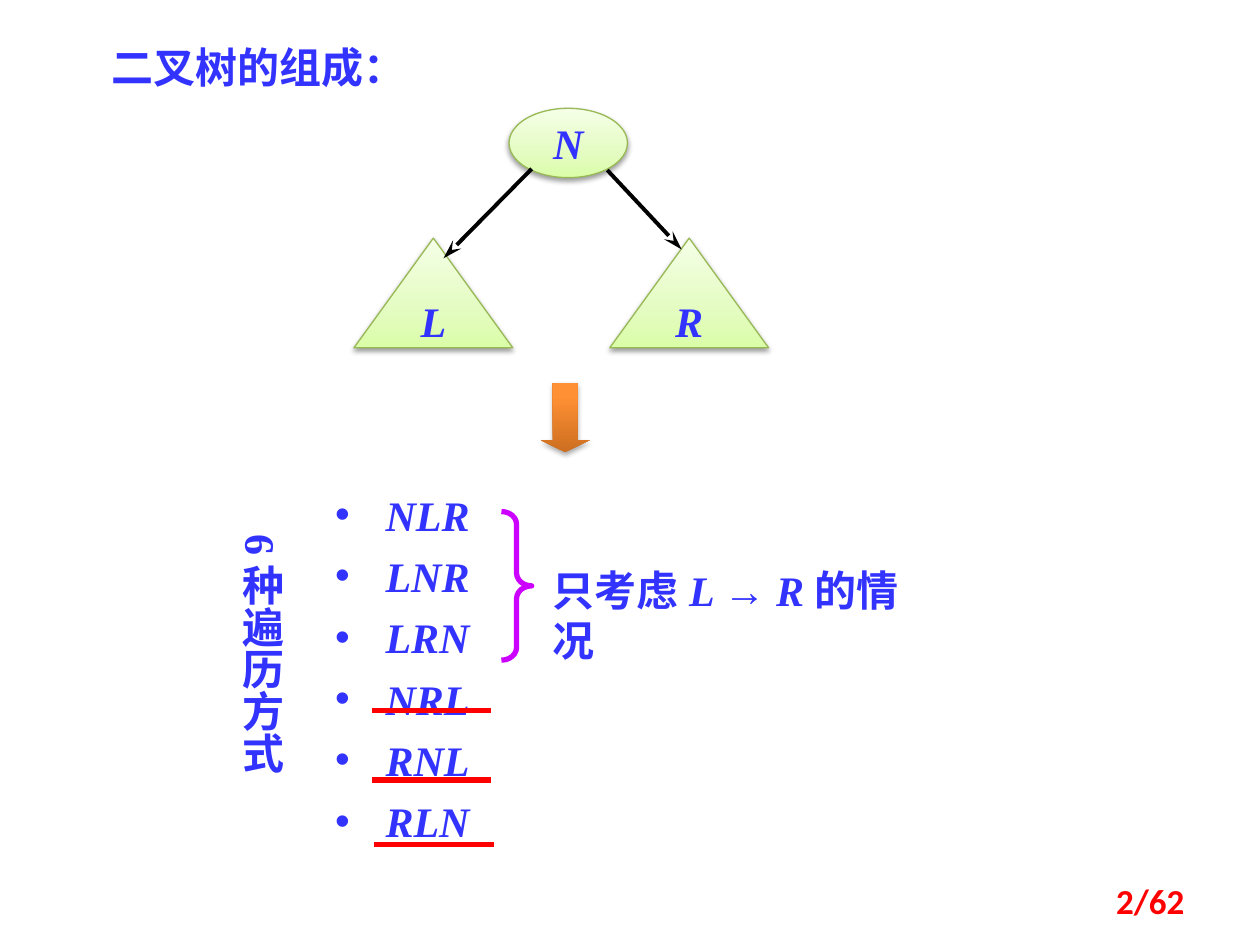
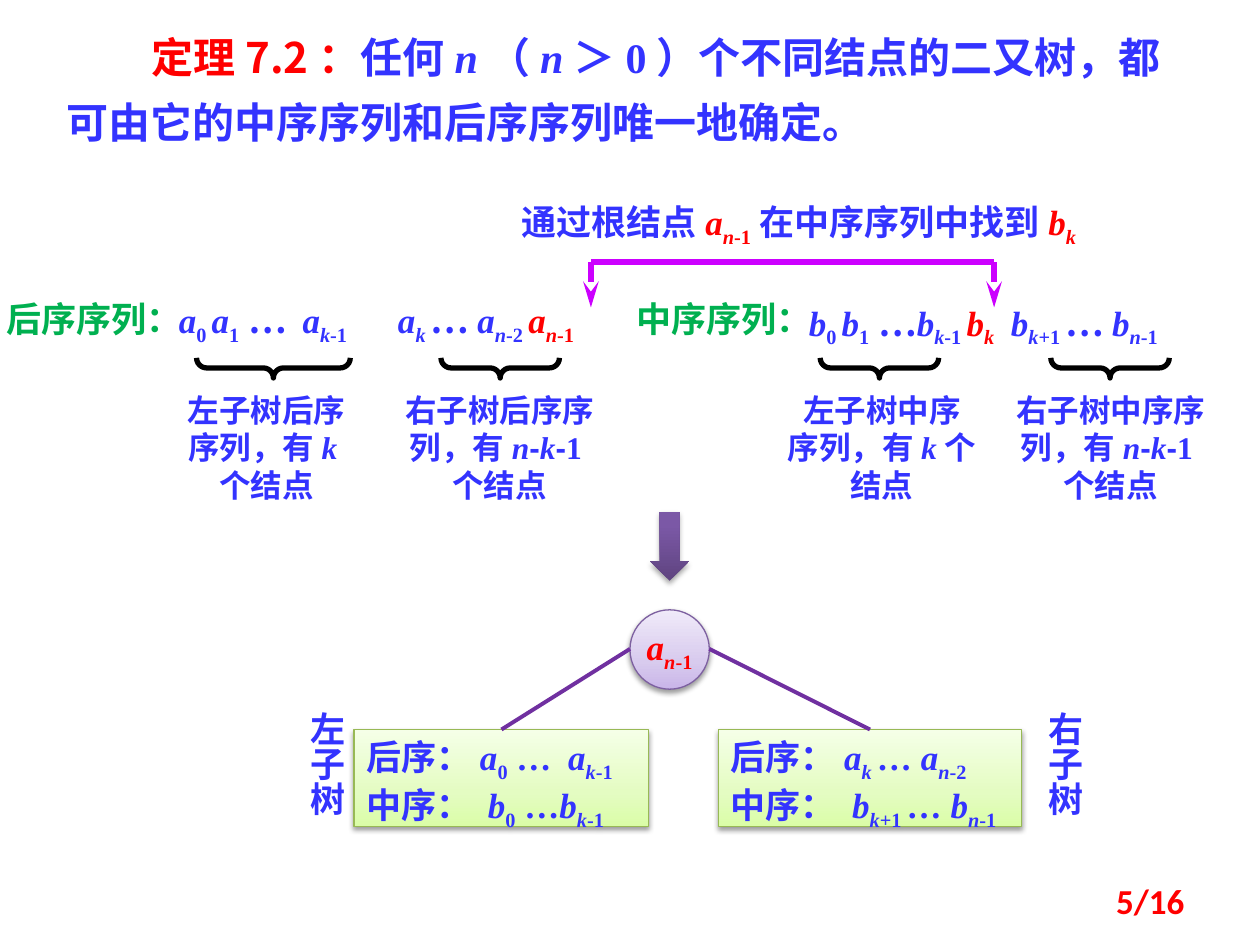
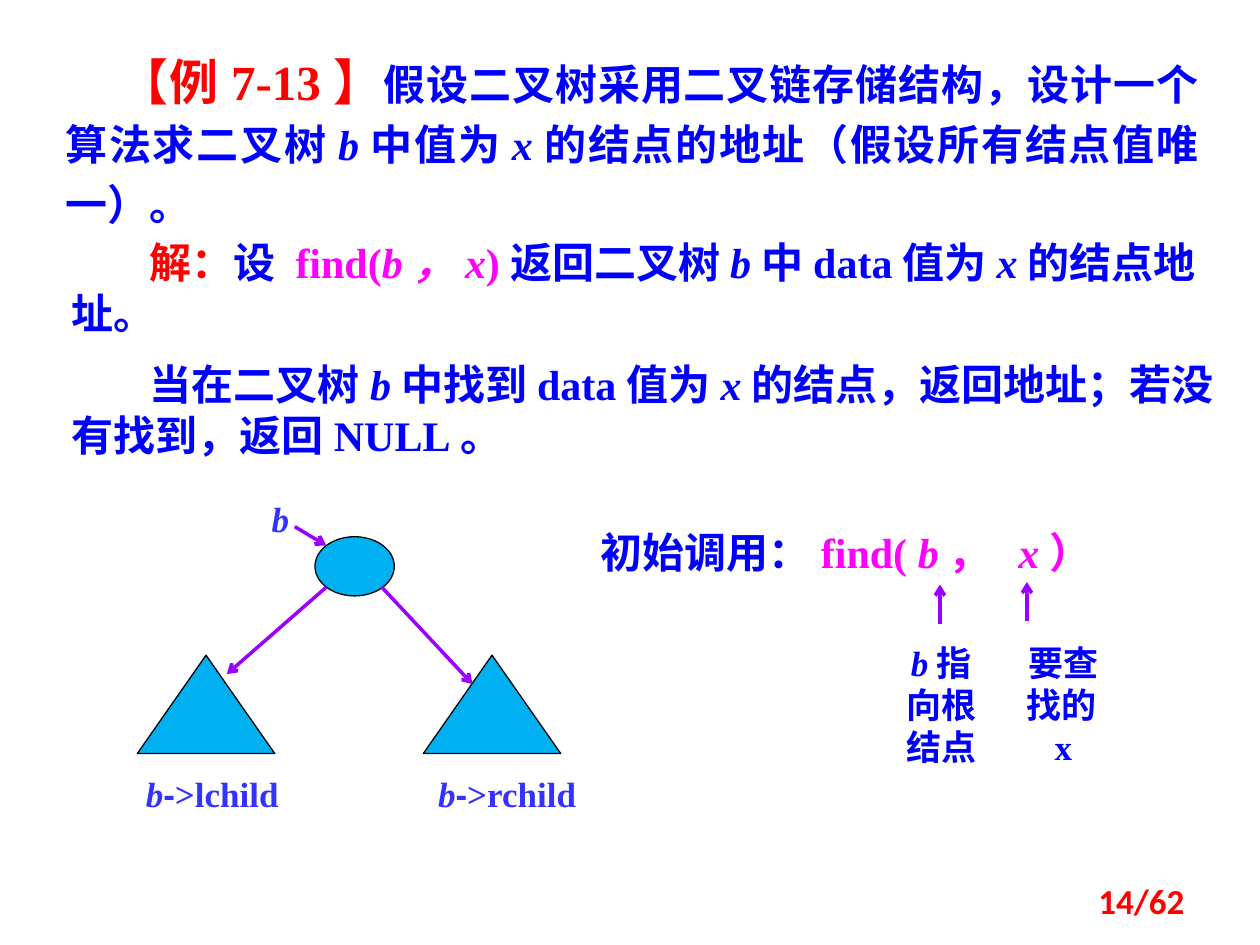
from dataclasses import dataclass
from itertools import groupby

from lxml.etree import SubElement
from pptx import Presentation
from pptx.dml.color import RGBColor
from pptx.enum.shapes import MSO_CONNECTOR, MSO_SHAPE as SHAPE
from pptx.enum.text import MSO_ANCHOR as ANCHOR, MSO_AUTO_SIZE, PP_ALIGN as ALIGN
from pptx.oxml.ns import qn
from pptx.util import Inches, Pt


@dataclass(frozen=True)
class Theme:
    blue: str = "3333FF"
    pure_blue: str = "0000FF"
    red: str = "FF0000"
    pink: str = "FF00FF"
    green: str = "00B050"
    black: str = "000000"
    magenta: str = "CC00FF"
    violet: str = "9900FF"
    purple: str = "7030A0"
    sky: str = "00B0F0"
    leaf: tuple = ((0, "DAFDA7"), (35, "E4FCC2"), (100, "F5FFE7"))
    leaf_edge: str = "98B955"
    lilac: tuple = ((0, "C9B5E8"), (35, "D8CBEE"), (100, "F0EAF9"))
    lilac_edge: str = "7D60A0"
    orange: tuple = ((0, "CC6E20"), (80, "FF9034"), (100, "FF9136"))
    plum: tuple = ((0, "5F4480"), (80, "7B58A6"), (100, "7C57A8"))
    serif: str = "Times New Roman"
    sans: str = "Calibri"
    cjk: str = "Noto Sans CJK SC"
    dash: str = "Arial"
    big: int = 28
    head: int = 24
    label: int = 20
    small: int = 18


T = Theme()
COLS, ROWS = 100, 75
CELL = Inches(0.1)
PAD = (0.1, 0.05)
# Each mark switches one format on or off inside a text.
MARKS = {"*": "italic", "_": "sub", "^": "red", "~": "pink", "`": "cjk",
         "¦": "dash", "@": "big", "§": "gap", "¶": "wide gap"}
# Extra letter spacing, in hundredths of a point.
TRACKING = {"gap": "450", "wide gap": "2400"}


def grid(*cells):
    """Turn columns and rows into lengths."""
    return [round(c * CELL) for c in cells]


def rgb(value):
    return RGBColor.from_string(value)


def add_runs(p, markup, size, color, font):
    on = set()
    for is_mark, chars in groupby(markup, lambda ch: ch in MARKS):
        if is_mark:
            for ch in chars:
                on ^= {MARKS[ch]}
            continue
        r = p.add_run()
        r.text = "".join(chars)
        face = T.cjk if "cjk" in on else T.dash if "dash" in on else font
        fmt = {"name": face, "bold": True, "italic": "italic" in on,
               "size": Pt(T.big if "big" in on else size)}
        for name, value in fmt.items():
            setattr(r.font, name, value)
        shade = T.red if "red" in on else T.pink if "pink" in on else color
        r.font.color.rgb = rgb(shade)
        rPr = r.font._element
        rPr.set("lang", "zh-CN")
        if "sub" in on:
            rPr.set("baseline", "-25000")
        for name in on & TRACKING.keys():
            rPr.set("spc", TRACKING[name])
        SubElement(rPr, qn("a:ea")).set("typeface", T.sans)


def set_layout(p, margin, indent, bullet):
    pPr = p._p.get_or_add_pPr()
    pPr.set("marL", str(Inches(margin)))
    pPr.set("indent", str(Inches(indent)))
    if bullet:
        SubElement(pPr, qn("a:buChar")).set("char", bullet)
    else:
        SubElement(pPr, qn("a:buNone"))


def write(sp, *paras, size=T.head, color=T.blue, font=T.serif, align=ALIGN.LEFT,
          anchor=ANCHOR.TOP, pad=PAD, wrap=True, vertical=False, margin=0,
          indent=0, bullet=None, spacing=None, before=0):
    tf = sp.text_frame
    side, top = map(Inches, pad)
    frame = {"auto_size": MSO_AUTO_SIZE.NONE, "word_wrap": wrap,
             "vertical_anchor": anchor, "margin_left": side,
             "margin_right": side, "margin_top": top, "margin_bottom": top}
    for name, value in frame.items():
        setattr(tf, name, value)
    if vertical:
        tf._txBody.bodyPr.set("vert", "eaVert")
    for i, markup in enumerate(paras):
        p = tf.add_paragraph() if i else tf.paragraphs[0]
        set_layout(p, margin, indent, bullet)
        p.alignment = align
        p.space_before = Pt(before if i else 0)
        if spacing:
            p.line_spacing = spacing
        add_runs(p, markup, size, color, font)
    return sp


def text(s, at, *paras, **fmt):
    return write(s.shapes.add_textbox(*grid(*at)), *paras, **fmt)


def placed(sp, at, *paras, **fmt):
    """Move a placeholder and fill it."""
    sp.left, sp.top, sp.width, sp.height = grid(*at)
    return write(sp, *paras, **fmt)


def cast_shadow(sp, alpha):
    effects = sp.element.spPr.find(qn("a:effectLst"))
    shadow = SubElement(effects, qn("a:outerShdw"))
    for name, value in {"blurRad": Pt(3.1), "dist": Pt(1.7), "dir": 90 * 60000,
                        "rotWithShape": 0}.items():
        shadow.set(name, str(value))
    clr = SubElement(shadow, qn("a:srgbClr"))
    clr.set("val", T.black)
    SubElement(clr, qn("a:alpha")).set("val", str(alpha * 1000))


def paint_gradient(sp, stops):
    sp.fill.gradient()
    sp.fill.gradient_angle = 90
    stop_list = sp.element.spPr.find(qn("a:gradFill")).find(qn("a:gsLst"))
    stop_list.clear()
    for pos, color in stops:
        stop = SubElement(stop_list, qn("a:gs"))
        stop.set("pos", str(pos * 1000))
        SubElement(stop, qn("a:srgbClr")).set("val", color)


def shape(s, kind, at, fill=None, edge=None, weight=0.75):
    """Add a preset shape; a gradient fill brings a soft shadow."""
    sp = s.shapes.add_shape(kind, *grid(*at))
    sp.shadow.inherit = False
    if isinstance(fill, tuple):
        paint_gradient(sp, fill)
        cast_shadow(sp, 38 if edge else 35)
    elif fill:
        sp.fill.solid()
        sp.fill.fore_color.rgb = rgb(fill)
    else:
        sp.fill.background()
    if edge:
        sp.line.color.rgb = rgb(edge)
        sp.line.width = Pt(weight)
    else:
        sp.line.fill.background()
    return sp


def line(s, start, end, color, weight, head=None):
    c = s.shapes.add_connector(MSO_CONNECTOR.STRAIGHT, *grid(*start, *end))
    c.line.color.rgb = rgb(color)
    c.line.width = Pt(weight)
    spPr = c.element.spPr
    if head:
        tip = SubElement(spPr.find(qn("a:ln")), qn("a:tailEnd"))
        tip.set("type", head)
        tip.set("len", "lg" if head == "stealth" else "med")
    SubElement(spPr, qn("a:effectLst"))


def under_brace(s, center, width):
    """A left brace turned to open upwards."""
    sp = shape(s, SHAPE.LEFT_BRACE, (center - 0.8, 29.2 - width / 2, 1.6, width),
               edge=T.black, weight=3)
    sp.rotation = 270
    sp.adjustments[0] = 0.5


def new_slide(prs, layout, page):
    s = prs.slides.add_slide(prs.slide_layouts[layout])
    text(s, (71.7, 69.5, 23.3, 4), page, size=T.label, color=T.red, font=T.sans,
         align=ALIGN.RIGHT, anchor=ANCHOR.MIDDLE)
    return s


def traversal_slide(prs):
    s = new_slide(prs, 1, "2/62")
    placed(s.shapes.title, (6, 2.8, 29.1, 5), "二叉树的组成：", align=ALIGN.CENTER)
    for kind, at, name in ((SHAPE.OVAL, (40.4, 8.6, 9.4, 5.5), "N"),
                           (SHAPE.ISOSCELES_TRIANGLE, (28.1, 18.9, 12.6, 8.7), "L"),
                           (SHAPE.ISOSCELES_TRIANGLE, (48.4, 18.9, 12.6, 8.7), "R")):
        write(shape(s, kind, at, T.leaf, T.leaf_edge), f"*{name}*",
              align=ALIGN.CENTER, anchor=ANCHOR.MIDDLE, wrap=False)
    line(s, (42.2, 13.4), (35.2, 20.5), T.black, 2.25, "stealth")
    line(s, (48.2, 13.5), (54.1, 19.8), T.black, 2.25, "stealth")

    arrow = shape(s, SHAPE.DOWN_ARROW, (42.9, 30.4, 3.9, 5.5), T.orange)
    arrow.adjustments[1] = 0.25
    orders = ("NLR", "LNR", "LRN", "NRL", "RNL", "RLN")
    placed(s.placeholders[1], (25.6, 39.1, 17.3, 30.5), *(f"*{o}*" for o in orders),
           margin=0.4, indent=-0.4, bullet="•", spacing=0.8, before=12)
    text(s, (17.2, 41.4, 6.1, 26), "6种遍历方式", align=ALIGN.CENTER, vertical=True)
    for x, y in ((29.5, 56.4), (29.5, 61.9), (29.7, 67)):
        line(s, (x, y), (x + 9.5, y), T.red, 3)
    text(s, (42.9, 44.3, 32.1, 5.1), "只考虑*L *→ *R*的情况")
    brace = shape(s, SHAPE.RIGHT_BRACE, (39.8, 40.6, 2.4, 11.8),
                  edge=T.magenta, weight=3)
    brace.adjustments[0] = 0.42


def theorem_slide(prs):
    s = new_slide(prs, 5, "5/16")
    placed(s.shapes.title, (4.3, 0.8, 89, 11.5),
           "^`定理7.2：`^任何*n*（*n*＞0）个不同结点的二又树，"
           "都可由它的中序序列和后序序列唯一地确定。", indent=0.67, spacing=1.3)

    flat = {"size": T.label, "pad": (0, 0)}
    for x, y, name in ((0, 23.6, "后序序列："), (50, 23.6, "中序序列：")):
        text(s, (x, y, 15, 3.3), name, color=T.green, align=ALIGN.CENTER, **flat)
    text(s, (14.2, 23.7, 36.6, 3.4),
         "*a*_0 _*a*_1_ `…§ §`*a_k*-1_¶ ¶*a_k* _`… `*a_n*-2 _^*a_n*-1_^", **flat)
    text(s, (64.2, 23.9, 31.1, 3.4),
         "*b*_0 _*b*_1_ `…`*b_k*-1 _^*b_k*_^§ §*b_k*+1 _`… `*b_n*-1_", **flat)

    rest = "*n*¦-¦*k*¦-¦1"
    for x, width, center, span, side, order, count in (
            (14.1, 14.1, 21.7, 12.2, "左", "后", "*k*"),
            (31.8, 15.7, 39.7, 9.4, "右", "后", rest),
            (62.5, 14.98, 69.8, 9.4, "左", "中", "*k*"),
            (80.3, 15.7, 88.1, 9.4, "右", "中", rest)):
        text(s, (x, 31, width, 9.1), f"{side}子树{order}序序列，有{count}个结点",
             size=T.small, align=ALIGN.CENTER, pad=(0, 0))
        under_brace(s, center, span)

    root_x, match_x, bar_y = 46.9, 78.9, 20.8
    line(s, (root_x, bar_y), (match_x, bar_y), T.magenta, 3)
    for x in (root_x, match_x):
        line(s, (x, bar_y), (x, 24.4), T.magenta, 3, "stealth")
    text(s, (41.4, 15.9, 46.3, 3.4),
         "通过根结点^*a_n*-1_^在中序序列中找到^*b_k*_^", **flat)

    shape(s, SHAPE.DOWN_ARROW, (51.6, 40.6, 3.1, 5.5), T.plum)
    write(shape(s, SHAPE.OVAL, (50, 48.4, 6.3, 6.3), T.lilac, T.lilac_edge),
          "^*a_n*-1_^", size=T.label, align=ALIGN.CENTER, anchor=ANCHOR.MIDDLE,
          pad=(0, 0.05))
    for x, width, post, inner, label_x, name, joint in (
            (28.1, 23.4, "*a*_0_ …§ §*a_k*-1_", "*b*_0_ …*b_k*-1_",
             22.7, "左子树", 50),
            (57, 24.1, "*a_k* _… *a_n*-2_", "*b_k*+1 _… *b_n*-1_",
             81.3, "右子树", 56.3)):
        write(shape(s, SHAPE.RECTANGLE, (x, 57.9, width, 7.7), T.leaf, T.leaf_edge),
              f"后序：{post}", f"中序： {inner}", size=T.label)
        text(s, (label_x, 55.5, 5.4, 13.3), name, size=T.label, font=T.cjk,
             align=ALIGN.CENTER, vertical=True)
        line(s, (joint, 51.5), (x + width / 2, 57.9), T.purple, 2.25)


def find_slide(prs):
    s = new_slide(prs, 1, "14/62")
    placed(s.shapes.title, (4.2, 3.5, 91.9, 15.3),
           "^@【例7-13】@^假设二叉树采用二叉链存储结构，设计一个算法求二叉树*b*"
           "中值为*x*的结点的地址（假设所有结点值唯一）。",
           color=T.pure_blue, align=ALIGN.JUSTIFY, indent=0.43, spacing=Pt(34))
    placed(s.placeholders[1], (4.7, 18.3, 92.9, 15.1),
           "^解：^设 ~find(*b，x*)~返回二叉树*b*中data值为*x*的结点地址。",
           "当在二叉树*b*中找到data值为*x*的结点，返回地址；若没有找到，返回NULL。",
           color=T.pure_blue, indent=0.62, before=12)

    shape(s, SHAPE.OVAL, (25, 42.6, 6.3, 4.7), T.sky, T.black)
    for x in (10.9, 33.6):
        shape(s, SHAPE.ISOSCELES_TRIANGLE, (x, 52, 10.9, 7.8), T.sky, T.black)
    for start, end in (((25.9, 46.6), (18, 53.5)), ((30.3, 46.6), (37.5, 54.3)),
                       ((23.4, 41.8), (25.9, 43.3)), ((74.6, 49.5), (74.6, 46.4)),
                       ((81.5, 49.3), (81.5, 46.2))):
        line(s, start, end, T.violet, 2, "arrow")
    for at, name in (((21.1, 39.5, 2.3, 3.4), "*b*"),
                     ((10.2, 61.3, 13.3, 3.4), "*b*¦-¦>lchild"),
                     ((33.6, 61.3, 13.3, 3.4), "*b*¦-¦>rchild")):
        text(s, at, name, size=T.label, align=ALIGN.CENTER, pad=(0, 0))

    text(s, (43.7, 41.3, 46.9, 5), "初始调用：~find( *b*，§ §*x*）~",
         color=T.pure_blue, align=ALIGN.CENTER)
    for x, note in ((70.8, "*b*指向根结点"), (80.5, "要查找的x")):
        text(s, (x, 50.4, 7.8, 11.1), note, size=T.label, color=T.pure_blue,
             align=ALIGN.CENTER)


def main():
    prs = Presentation()
    prs.slide_width, prs.slide_height = grid(COLS, ROWS)
    for build in (traversal_slide, theorem_slide, find_slide):
        build(prs)
    prs.save("out.pptx")


if __name__ == "__main__":
    main()
